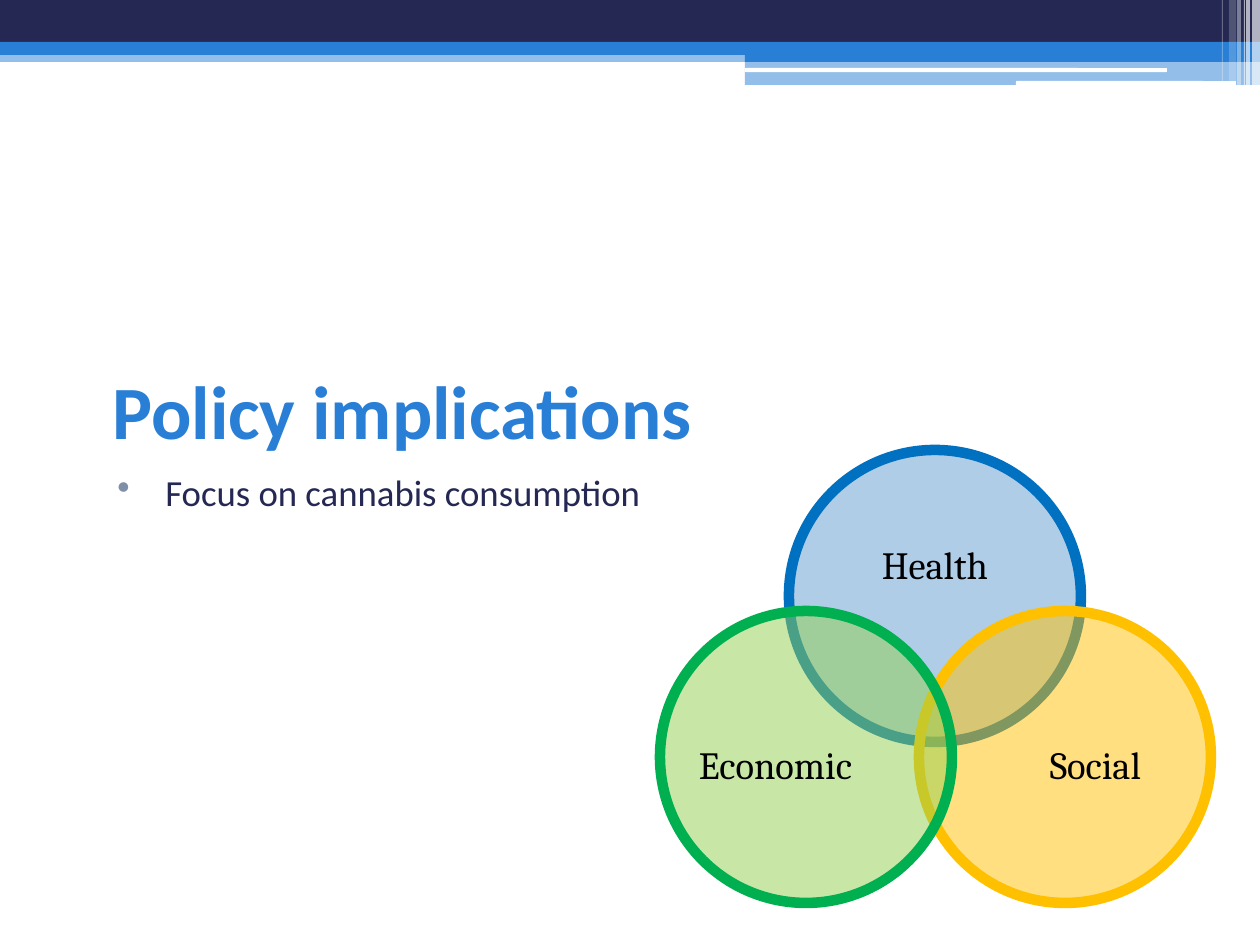
from lxml import etree
from pptx import Presentation
from pptx.dml.color import RGBColor
from pptx.enum.shapes import MSO_SHAPE
from pptx.enum.text import MSO_ANCHOR, PP_ALIGN
from pptx.oxml.ns import qn
from pptx.util import Emu, Pt

RECT, ROUND, OVAL = MSO_SHAPE.RECTANGLE, MSO_SHAPE.ROUNDED_RECTANGLE, MSO_SHAPE.OVAL
TOP, MIDDLE, BOTTOM = MSO_ANCHOR.TOP, MSO_ANCHOR.MIDDLE, MSO_ANCHOR.BOTTOM
LEFT, CENTER = PP_ALIGN.LEFT, PP_ALIGN.CENTER

PX = 914400 / 126
WIDTH, HEIGHT = 1260, 945
COLORS = {
    "navy": "242852", "blue": "297FD5", "white": "FFFFFF", "black": "000000",
    "bullet": "7F8FA9", "health": "629DD1", "health_ring": "0070C0",
    "social": "FFC000", "economic": "92D050", "economic_ring": "00B050",
}


def px(length):
    return Emu(round(length * PX))


def rgb(name):
    return RGBColor.from_string(COLORS[name])


class SlideBuilder:
    heading_font = "Calibri"
    diagram_font = "Cambria"

    def __init__(self, slide):
        self.slide = slide

    def shape(self, kind, box, fill, opacity=100, ring=None):
        shape = self.slide.shapes.add_shape(kind, *map(px, box))
        shape.shadow.inherit = False
        shape.fill.solid()
        shape.fill.fore_color.rgb = rgb(fill)
        if opacity < 100:
            color = shape.fill._xPr.find(qn("a:solidFill"))[0]
            etree.SubElement(color, qn("a:alpha"), val=str(opacity * 1000))
        if ring:
            shape.line.color.rgb = rgb(ring)
            shape.line.width = Pt(6)
        else:
            shape.line.fill.background()

    def text(self, box, words, size, color, font, anchor=TOP, align=LEFT, bold=False, inset=None):
        frame = self.slide.shapes.add_textbox(*map(px, box)).text_frame
        frame.word_wrap = True
        frame.vertical_anchor = anchor
        if inset is not None:
            frame.margin_left = frame.margin_right = px(inset)
            frame.margin_top = frame.margin_bottom = px(inset)
        paragraph = frame.paragraphs[0]
        paragraph.alignment = align
        run = paragraph.add_run()
        run.text = words
        run.font.size = Pt(size)
        run.font.name = font
        run.font.bold = bold
        run.font.color.rgb = rgb(color)
        return paragraph

    def bullet(self, box, words, size, color):
        paragraph = self.text(box, words, size, color, self.heading_font)
        paragraph.space_before = Pt(3)
        props = paragraph._p.get_or_add_pPr()
        props.set("marL", str(px(53)))
        props.set("indent", str(px(-48)))
        tint = etree.SubElement(props, qn("a:buClr"))
        etree.SubElement(tint, qn("a:srgbClr"), val=COLORS["bullet"])
        etree.SubElement(props, qn("a:buChar"), char="•")

    def venn_circle(self, corner, fill, ring, label, label_box):
        self.shape(OVAL, (*corner, 292, 292), fill, 50, ring)
        paragraph = self.text(label_box, label, 22, "black", self.diagram_font,
                              MIDDLE, CENTER, inset=0)
        paragraph.line_spacing = 0.9


def main():
    deck = Presentation()
    deck.slide_width, deck.slide_height = px(WIDTH), px(HEIGHT)
    page = SlideBuilder(deck.slides.add_slide(deck.slide_layouts[6]))

    bands = [
        (RECT, (0, 50, WIDTH, 12), "blue", 50),
        (RECT, (0, 0, WIDTH, 42), "navy", 100),
        (RECT, (0, 42, WIDTH, 13), "blue", 100),
        (RECT, (745, 49, 515, 13), "blue", 100),
        (RECT, (745, 61, 515, 24), "blue", 50),
        (ROUND, (745, 68, 422, 4), "white", 100),
        (ROUND, (1016, 81, 220, 5), "white", 100),
    ]
    for band in bands:
        page.shape(*band)

    stripes = [(1252, 8, 85, 65), (1246, 4, 85, 65), (1244, 1, 85, 60),
               (1237, 4, 85, 40), (1229, 7, 81, 20), (1222, 1, 81, 30)]
    for left, width, height, opacity in stripes:
        page.shape(RECT, (left, 0, width, height), "white", opacity)

    page.text((100, 273, 1071, 188), "Policy implications", 43, "blue",
              page.heading_font, BOTTOM, bold=True)
    page.bullet((100, 464, 1071, 208), "Focus on cannabis consumption", 21, "navy")

    circles = [
        ((789, 450), "health", "health_ring", "Health", (828, 501, 214, 131)),
        ((919, 611), "social", "social", "Social", (1008, 687, 175, 160)),
        ((660, 611), "economic", "economic_ring", "Economic", (688, 687, 175, 160)),
    ]
    for circle in circles:
        page.venn_circle(*circle)

    deck.save("out.pptx")


if __name__ == "__main__":
    main()
